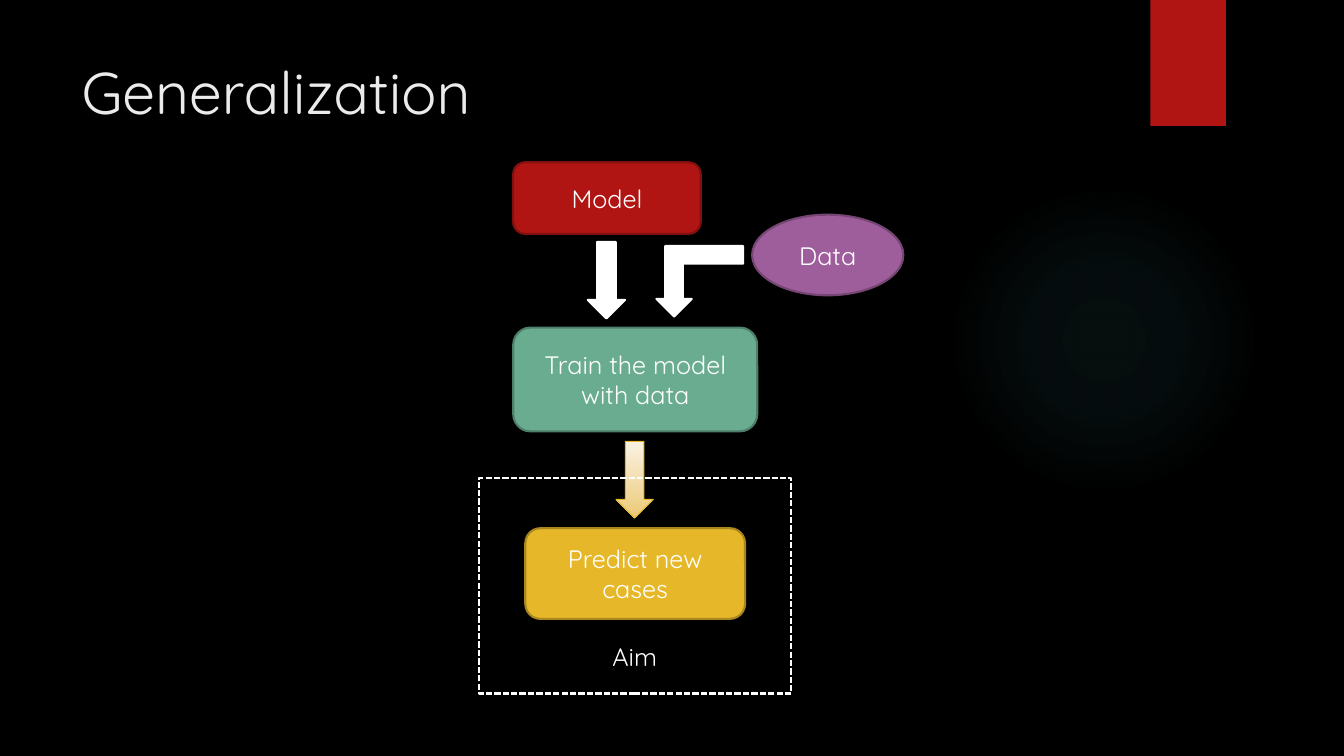
from lxml import etree
from pptx import Presentation
from pptx.dml.color import RGBColor
from pptx.enum.dml import MSO_LINE
from pptx.enum.shapes import MSO_SHAPE
from pptx.enum.text import MSO_ANCHOR, PP_ALIGN
from pptx.oxml.ns import qn
from pptx.util import Inches, Pt

RECTANGLE = MSO_SHAPE.RECTANGLE
ROUNDED = MSO_SHAPE.ROUNDED_RECTANGLE
OVAL = MSO_SHAPE.OVAL
DOWN_ARROW = MSO_SHAPE.DOWN_ARROW
BENT_ARROW = MSO_SHAPE.BENT_UP_ARROW
DASHED = MSO_LINE.SQUARE_DOT
TOP, MIDDLE = MSO_ANCHOR.TOP, MSO_ANCHOR.MIDDLE
LEFT, CENTER = PP_ALIGN.LEFT, PP_ALIGN.CENTER
FONT = "Quicksand"
COLORS = {
    "background": "000000", "title": "EBEBEB", "white": "FFFFFF", "glow": "50B9C1",
    "model": "B01513", "model_edge": "82100E",
    "train": "6AAC90", "train_edge": "4E7F6B",
    "predict": "E6B729", "predict_edge": "AA871E",
    "data": "9E5E9B", "data_edge": "754673",
    "arrow_light": "FAF2E3", "arrow_dark": "ECC977",
}


def rgb(name):
    return RGBColor.from_string(COLORS[name])


def write(frame, text, size=18, color="white", align=CENTER, anchor=MIDDLE):
    frame.word_wrap = True
    frame.vertical_anchor = anchor
    paragraph = frame.paragraphs[0]
    paragraph.alignment = align
    run = paragraph.add_run()
    run.text = text
    run.font.name = FONT
    run.font.size = Pt(size)
    run.font.color.rgb = rgb(color)


def add_part(slide, kind, box, fill=None, edge=None, width=1.5, text=None):
    part = slide.shapes.add_shape(kind, *map(Inches, box))
    part.shadow.inherit = False
    if fill:
        part.fill.solid()
        part.fill.fore_color.rgb = rgb(fill)
    else:
        part.fill.background()
    if edge:
        part.line.color.rgb = rgb(edge)
        part.line.width = Pt(width)
    else:
        part.line.fill.background()
    if text:
        write(part.text_frame, text)
    return part


def set_gradient(part, stops, angle=None):
    properties = part.fill._xPr
    gradient = etree.Element(qn("a:gradFill"), rotWithShape="1")
    stop_list = etree.SubElement(gradient, qn("a:gsLst"))
    for position, color, opacity in stops:
        stop = etree.SubElement(stop_list, qn("a:gs"), pos=str(position * 1000))
        shade = etree.SubElement(stop, qn("a:srgbClr"), val=COLORS[color])
        etree.SubElement(shade, qn("a:alpha"), val=str(opacity * 1000))
    if angle is None:
        center = etree.SubElement(gradient, qn("a:path"), path="circle")
        etree.SubElement(center, qn("a:fillToRect"), l="50000", t="50000", r="50000", b="50000")
    else:
        etree.SubElement(gradient, qn("a:lin"), ang=str(angle * 60000), scaled="0")
    properties.replace(properties.find(qn("a:noFill")), gradient)


def add_backdrop(slide, left, top):
    slide.background.fill.solid()
    slide.background.fill.fore_color.rgb = rgb("background")
    glow = add_part(slide, OVAL, (left + 9.41, top + 1.83, 3.08, 3.08))
    set_gradient(glow, [(0, "glow", 7), (36, "glow", 6), (69, "glow", 0), (100, "glow", 0)])
    add_part(slide, RECTANGLE, (left + 11.41, top, 0.75, 1.25), "model")


def add_title(slide, left, top, width, height):
    title = slide.shapes.title
    title.left, title.top = Inches(left), Inches(top)
    title.width, title.height = Inches(width), Inches(height)
    write(title.text_frame, "Generalization", size=42, color="title", align=LEFT, anchor=TOP)


def add_training(slide, left, top):
    steps = [
        (ROUNDED, (0, 1.64, 2.42, 1.03), "train", "Train the model with data"),
        (ROUNDED, (0, 0, 1.86, 0.71), "model", "Model"),
        (OVAL, (2.37, 0.52, 1.5, 0.8), "data", "Data"),
    ]
    for kind, (x, y, width, height), color, text in steps:
        add_part(slide, kind, (left + x, top + y, width, height), color, color + "_edge", text=text)
    add_part(slide, DOWN_ARROW, (left + 0.74, top + 0.79, 0.37, 0.76), "white", "white")
    data_arrow = add_part(slide, BENT_ARROW, (left + 1.42, top + 0.83, 0.86, 0.7), "white", "white")
    data_arrow.rotation = 180


def add_aim(slide, left, top, width, height):
    add_part(slide, ROUNDED, (left + 0.46, top + 0.5, 2.18, 0.9),
             "predict", "predict_edge", text="Predict new cases")
    arrow = add_part(slide, DOWN_ARROW, (left + 1.36, top - 0.36, 0.37, 0.76),
                     edge="predict", width=0.75)
    set_gradient(arrow, [(0, "arrow_light", 100), (100, "arrow_dark", 100)], angle=90)
    frame = add_part(slide, RECTANGLE, (left, top, width, height), edge="white")
    frame.line.dash_style = DASHED
    caption = slide.shapes.add_textbox(
        Inches(left + 0.65), Inches(top + 1.57), Inches(1.79), Inches(0.4))
    write(caption.text_frame, "Aim", anchor=TOP)


deck = Presentation()
deck.slide_width, deck.slide_height = Inches(13.33), Inches(7.5)
slide = deck.slides.add_slide(deck.slide_layouts[5])
add_backdrop(slide, 0, 0)
add_title(slide, 0.71, 0.5, 10.29, 1.53)
add_training(slide, 5.09, 1.61)
add_aim(slide, 4.75, 4.74, 3.1, 2.14)
deck.save("out.pptx")
